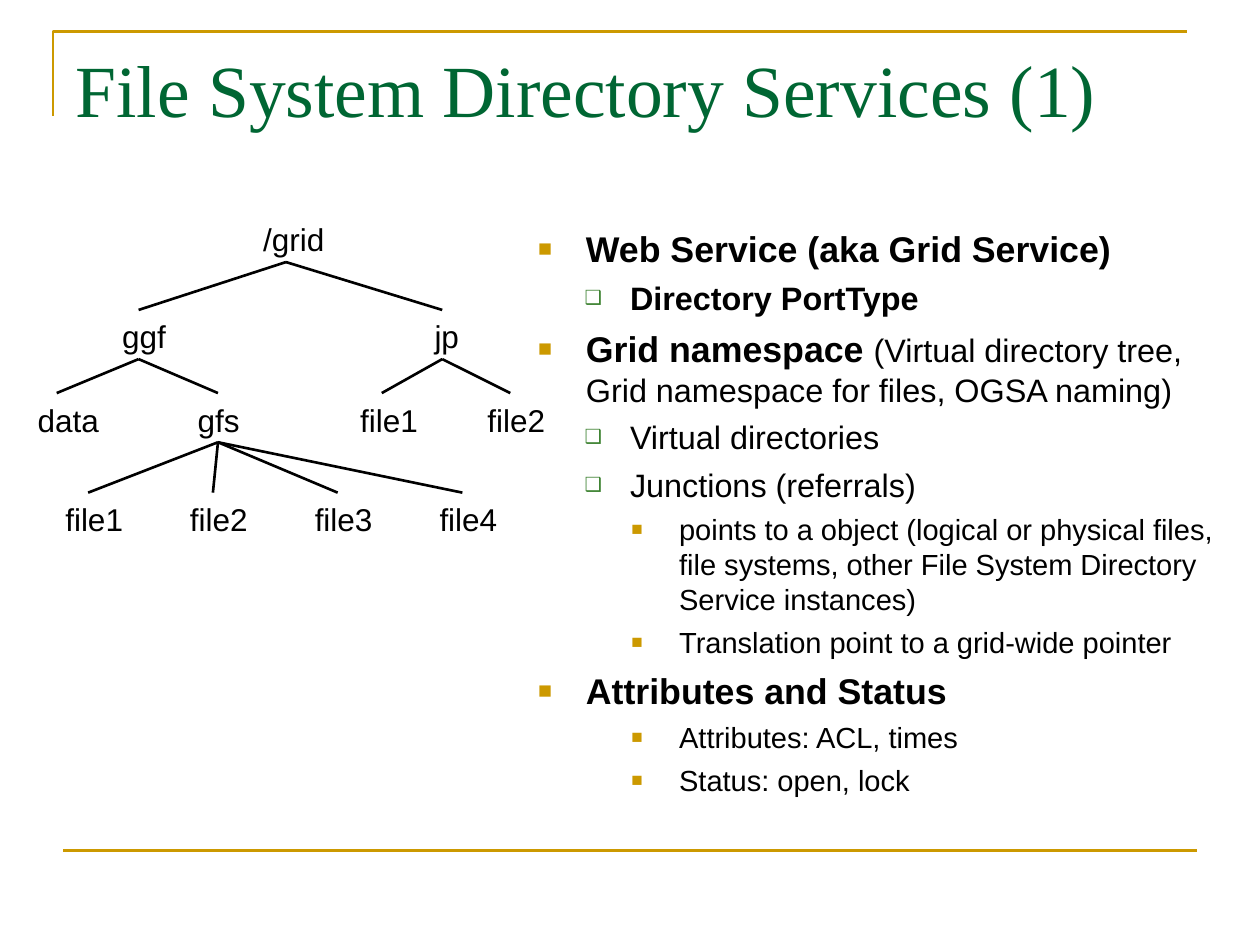
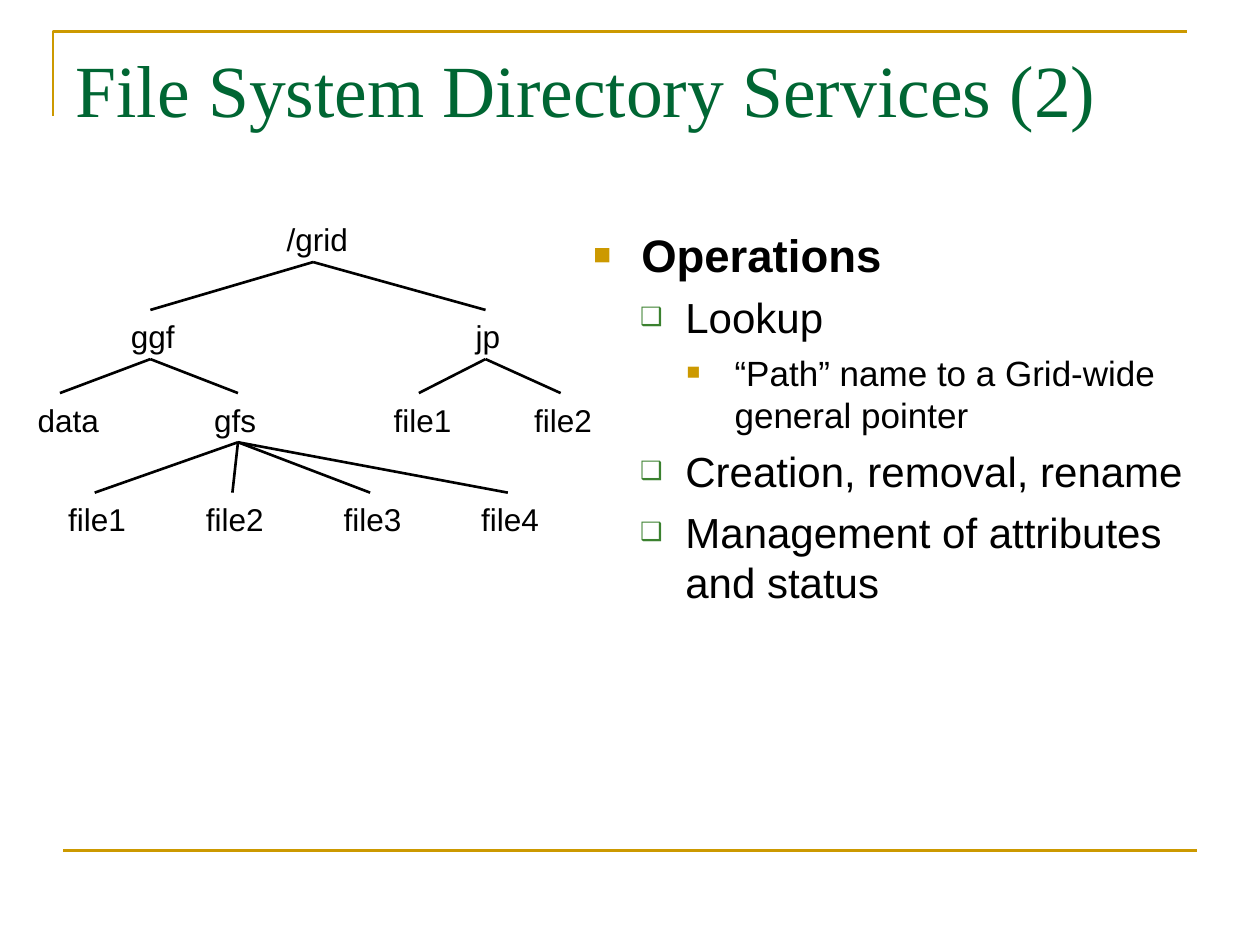
from dataclasses import dataclass

from lxml import etree
from pptx import Presentation
from pptx.dml.color import RGBColor
from pptx.enum.shapes import MSO_CONNECTOR
from pptx.enum.text import MSO_ANCHOR, MSO_AUTO_SIZE, PP_ALIGN
from pptx.oxml.ns import qn
from pptx.util import Inches, Pt

STRAIGHT = MSO_CONNECTOR.STRAIGHT
TOP = MSO_ANCHOR.TOP
NO_FIT = MSO_AUTO_SIZE.NONE
LEFT = PP_ALIGN.LEFT


@dataclass(frozen=True)
class Theme:
    gold: str = "CC9900"
    green: str = "006633"
    leaf: str = "3B812F"
    ink: str = "000000"
    serif: str = "Times New Roman"
    sans: str = "Arial"
    title: float = 42
    label: float = 18
    line: float = 1.5
    dense: tuple = (20.4, 18.5, 16.6)
    roomy: tuple = (26, 24, 20)


THEME = Theme()

# Per list level: left margin, hanging indent, mark, colour, size in percent
BULLETS = (
    (0.38, 0.38, "■", THEME.gold, 65),
    (0.73, 0.36, "❑", THEME.leaf, 60),
    (1.12, 0.38, "■", THEME.gold, 65),
)

# Directory tree: key -> label, row, label left, label width, stem x, parent
ROWS = (1.7, 2.47, 3.13, 3.92)
EDGE = 0.2
SPAN = 3.85
NODES = {
    "grid": ("/grid", 0, 1.99, 0.68, 2.27, None),
    "ggf": ("ggf", 1, 0.87, 0.55, 1.1, "grid"),
    "jp": ("jp", 1, 3.35, 0.39, 3.51, "grid"),
    "data": ("data", 2, 0.2, 0.68, 0.45, "ggf"),
    "gfs": ("gfs", 2, 1.47, 0.53, 1.73, "ggf"),
    "jp1": ("file1", 2, 2.76, 0.66, 3.03, "jp"),
    "jp2": ("file2", 2, 3.77, 0.66, 4.05, "jp"),
}
for step in range(4):
    left = 0.42 + 0.99 * step
    NODES[f"gfs{step + 1}"] = (f"file{step + 1}", 3, left, 0.66, left + 0.28, "gfs")

# List items: level, then runs of text, size rank and bold
SERVICE = (
    (0, ("Web Service (aka Grid Service)", 0, True)),
    (1, ("Directory PortType", 1, True)),
    (0, ("Grid namespace ", 0, True),
        ("(Virtual directory tree, Grid namespace for files, OGSA naming)", 1, False)),
    (1, ("Virtual directories", 1, False)),
    (1, ("Junctions (referrals)", 1, False)),
    (2, ("points to a object (logical or physical files, file systems, "
         "other File System Directory Service instances)", 2, False)),
    (2, ("Translation point to a grid-wide pointer", 2, False)),
    (0, ("Attributes and Status", 0, True)),
    (2, ("Attributes: ACL, times", 2, False)),
    (2, ("Status: open, lock", 2, False)),
)
ACTIONS = (
    (0, ("Operations", 0, True)),
    (1, ("Lookup", 1, False)),
    (2, ("“Path” name to a Grid-wide general pointer", 2, False)),
    (1, ("Creation, removal, rename", 1, False)),
    (1, ("Management of attributes and status", 1, False)),
)


def add_run(para, text, size, color, face, bold=False):
    run = para.add_run()
    run.text = text
    font = run.font
    font.size, font.name, font.bold = Pt(size), face, bold
    font.color.rgb = RGBColor.from_string(color)


def place(shape, x, y, w, h):
    shape.left, shape.top = Inches(x), Inches(y)
    shape.width, shape.height = Inches(w), Inches(h)


def set_line(shape, color):
    shape.line.color.rgb = RGBColor.from_string(color)
    shape.line.width = Pt(THEME.line)


def add_line(shapes, x1, y1, x2, y2, color):
    line = shapes.add_connector(STRAIGHT, Inches(x1), Inches(y1), Inches(x2), Inches(y2))
    set_line(line, color)
    etree.SubElement(line.element.spPr, qn("a:effectLst"))
    return line


def add_frame(slide, layout):
    """Draw the corner and foot rules, then move them to the layout."""
    pen = slide.shapes.build_freeform(Inches(0.42), Inches(0.92))
    pen.add_line_segments(
        [(Inches(0.42), Inches(0.25)), (Inches(9.42), Inches(0.25))], close=False)
    corner = pen.convert_to_shape()
    corner.fill.background()
    corner.shadow.inherit = False
    set_line(corner, THEME.gold)
    foot = add_line(slide.shapes, 0.5, 6.75, 9.5, 6.75, THEME.gold)
    for number, rule in enumerate((corner, foot), 101):
        rule.element.xpath(".//p:cNvPr")[0].set("id", str(number))
        layout.shapes.element.append(rule.element)


def add_title(slide, text):
    title = slide.shapes.title
    place(title, 0.5, 0.3, 9, 1.25)
    frame = title.text_frame
    frame.vertical_anchor, frame.auto_size = TOP, NO_FIT
    para = frame.paragraphs[0]
    para.alignment = LEFT
    add_run(para, text, THEME.title, THEME.green, THEME.serif)


def set_bullet(para, level):
    margin, hang, mark, color, size = BULLETS[level]
    props = para._p.get_or_add_pPr()
    props.set("marL", str(Inches(margin)))
    props.set("indent", str(-Inches(hang)))
    tint = etree.SubElement(props, qn("a:buClr"))
    etree.SubElement(tint, qn("a:srgbClr"), val=color)
    etree.SubElement(props, qn("a:buSzPct"), val=str(size * 1000))
    etree.SubElement(props, qn("a:buFont"), typeface=THEME.sans)
    etree.SubElement(props, qn("a:buChar"), char=mark)


def add_list(slide, items, x, width, sizes, gaps):
    body = slide.placeholders[1]
    place(body, x, 1.75, width, 4.95)
    frame = body.text_frame
    frame.vertical_anchor, frame.auto_size = TOP, NO_FIT
    for count, (level, *runs) in enumerate(items):
        para = frame.add_paragraph() if count else frame.paragraphs[0]
        para.level = level
        set_bullet(para, level)
        para.space_before = Pt(gaps[level] if count else 0)
        for text, rank, bold in runs:
            add_run(para, text, sizes[rank], THEME.ink, THEME.sans, bold)


def add_label(shapes, text, x, y, width):
    box = shapes.add_textbox(Inches(x), Inches(y), Inches(width), Inches(0.4))
    frame = box.text_frame
    frame.word_wrap = False
    # The free right margin keeps each name on one line
    frame.margin_right = 0
    add_run(frame.paragraphs[0], text, THEME.label, THEME.ink, THEME.sans)


def add_tree(slide, span):
    """Draw the directory tree, stretched sideways to the given span."""
    def fit(x):
        return EDGE + (x - EDGE) * span / SPAN

    shapes = slide.shapes.add_group_shape().shapes
    for text, row, x, width, stem, parent in NODES.values():
        add_label(shapes, text, fit(x), ROWS[row], width)
        if parent:
            above, root = NODES[parent][1], NODES[parent][4]
            add_line(shapes, fit(root), ROWS[above] + 0.38,
                     fit(stem), ROWS[row] - 0.01, THEME.ink)


def main():
    deck = Presentation()
    deck.slide_width, deck.slide_height = Inches(10), Inches(7.5)
    layout = deck.slide_layouts[1]

    # Directory port type, namespace and attributes
    first = deck.slides.add_slide(layout)
    add_frame(first, layout)
    add_title(first, "File System Directory Services (1)")
    add_list(first, SERVICE, 4.17, 5.63, THEME.dense, (5.5, 5, 4.5))
    add_tree(first, SPAN)

    # Operations
    second = deck.slides.add_slide(layout)
    add_title(second, "File System Directory Services (2)")
    add_list(second, ACTIONS, 4.61, 5.12, THEME.roomy, (6.5, 6, 5))
    add_tree(second, 4.25)

    deck.save("out.pptx")


if __name__ == "__main__":
    main()
